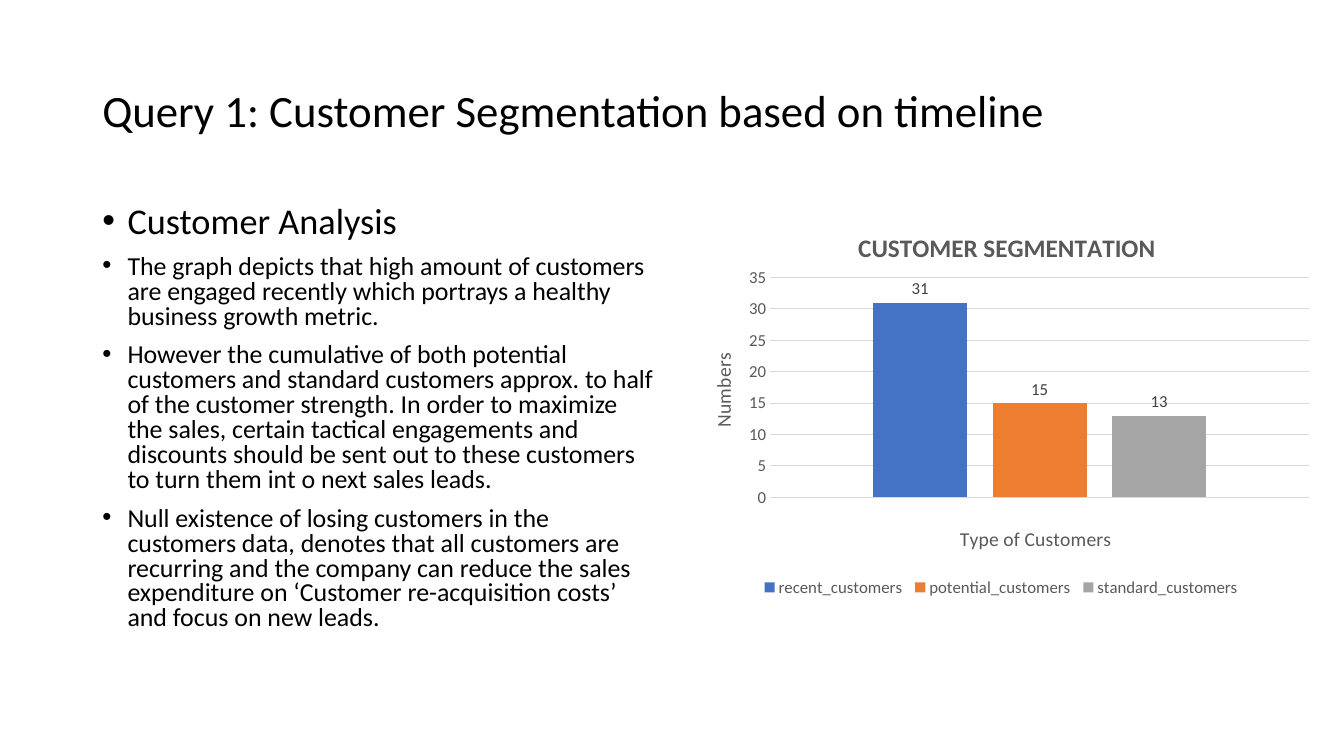
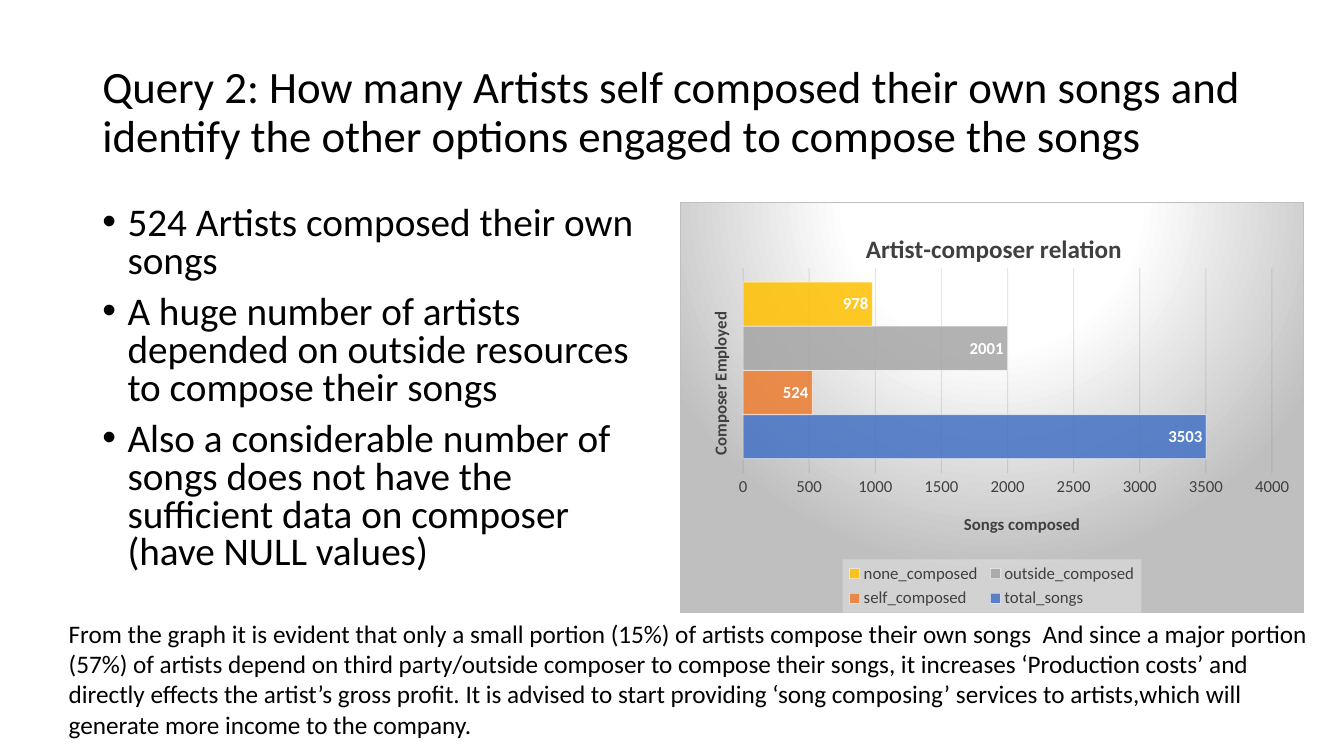
import pptx
import pptx.chart.data
import pptx.dml.color
import pptx.enum.chart
import pptx.enum.text
import pptx.oxml
import pptx.oxml.ns
import pptx.util

FONT = "Calibri"
BLACK, WHITE, SILVER = "000000", "FFFFFF", "BFBFBF"
BLUE, ORANGE, GREY, GOLD = "4472C4", "ED7D31", "A5A5A5", "FFC000"
CELL = pptx.util.Inches(1 / 12)
COLUMNS, ROWS = 160, 90
LEFT, TOP, CHART_LEFT = 11, 24, 81
TITLE_AREA = (LEFT, 4.8, 138, 17.4)

qn = pptx.oxml.ns.qn
declared = pptx.oxml.ns.nsdecls("a", "c")
colour = pptx.dml.color.RGBColor.from_string
positions = pptx.enum.chart.XL_LABEL_POSITION
kinds = pptx.enum.chart.XL_CHART_TYPE


def write(page, area, entries, spacing=1.0, middle=False, bullets=False):
    box = page.shapes.add_textbox(*[int(CELL * length) for length in area])
    frame = box.text_frame
    frame.word_wrap = True
    if middle:
        frame.vertical_anchor = pptx.enum.text.MSO_ANCHOR.MIDDLE
    for index, (text, size) in enumerate(entries):
        para = frame.add_paragraph() if index else frame.paragraphs[0]
        para.line_spacing = spacing
        if bullets:
            para.space_before = pptx.util.Pt(10)
            properties = para._p.get_or_add_pPr()
            properties.set("marL", str(3 * CELL))
            properties.set("indent", str(-3 * CELL))
            properties.append(pptx.oxml.parse_xml(f'<a:buFont {declared} typeface="Arial"/>'))
            properties.append(pptx.oxml.parse_xml(f'<a:buChar {declared} char="•"/>'))
        span = para.add_run()
        span.text = text
        span.font.name = FONT
        span.font.size = pptx.util.Pt(size)
        span.font.color.rgb = colour(BLACK)


def place(part, shares, inner=False):
    for old in part.findall(qn("c:layout")):
        part.remove(old)
    target = '<c:layoutTarget val="inner"/>' if inner else ""
    modes = '<c:xMode val="edge"/><c:yMode val="edge"/>'
    lengths = "".join(f'<c:{name} val="{share}"/>' for name, share in zip("xywh", shares))
    layout = pptx.oxml.parse_xml(
        f"<c:layout {declared}><c:manualLayout>{target}{modes}{lengths}</c:manualLayout></c:layout>"
    )
    overlay = part.find(qn("c:overlay"))
    if overlay is None:
        part.insert(0, layout)
    else:
        overlay.addprevious(layout)


slides = [
    {
        "title": "Query 1: Customer Segmentation based on timeline",
        "body_height": 57,
        "points": [
            ("Customer Analysis", 25.9),
            ("The graph depicts that high amount of customers are engaged recently which portrays a healthy business growth metric.", 18.5),
            ("However the cumulative of both potential customers and standard customers approx. to half of the customer strength. In order to maximize the sales, certain tactical engagements and discounts should be sent out to these customers to turn them int o next sales leads.", 18.5),
            ("Null existence of losing customers in the customers data, denotes that all customers are recurring and the company can reduce the sales expenditure on ‘Customer re-acquisition costs’ and focus on new leads.", 18.5),
        ],
        "kind": kinds.COLUMN_CLUSTERED,
        "chart_size": (76.4, 47.6),
        "series": [
            ("recent_customers", 31, BLUE),
            ("potential_customers", 15, ORANGE),
            ("standard_customers", 13, GREY),
        ],
        "heading": ("CUSTOMER SEGMENTATION", (0.27, 0.06)),
        "category_title": ("Type of Customers", (0.43, 0.8)),
        "value_title": ("Numbers", (0.04, 0.37)),
        "axis_title_size": 14,
        "plot": (0.14, 0.19, 0.84, 0.55),
        "legend": (0.12, 0.93, 0.76, 0.07),
        "ink": "595959",
        "label_ink": "404040",
        "label_position": positions.OUTSIDE_END,
        "grid": "D9D9D9",
        "gap": 219,
        "overlap": -27,
        "shaded": False,
    },
    {
        "title": "Query 2: How many Artists self composed their own songs and identify the other options engaged to compose the songs",
        "body_height": 49,
        "points": [
            ("524 Artists composed their own songs", 28),
            ("A huge number of artists depended on outside resources to compose their songs", 28),
            ("Also a considerable number of songs does not have the sufficient data on composer (have NULL values)", 28),
        ],
        "kind": kinds.BAR_CLUSTERED,
        "chart_size": (74.2, 49),
        "series": [
            ("total_songs", 3503, BLUE),
            ("self_composed", 524, ORANGE),
            ("outside_composed", 2001, GREY),
            ("none_composed", 978, GOLD),
        ],
        "heading": ("Artist-composer relation", (0.29, 0.06)),
        "category_title": ("Composer Employed", (0.04, 0.26)),
        "value_title": ("Songs composed", (0.45, 0.75)),
        "axis_title_size": 12,
        "plot": (0.1, 0.16, 0.85, 0.5),
        "legend": (0.26, 0.87, 0.48, 0.13),
        "ink": "404040",
        "label_ink": WHITE,
        "label_position": positions.INSIDE_END,
        "grid": "0D0D0D",
        "gap": 65,
        "overlap": 0,
        "shaded": True,
    },
]

deck = pptx.Presentation()
deck.slide_width = CELL * COLUMNS
deck.slide_height = CELL * ROWS

for content in slides:
    page = deck.slides.add_slide(deck.slide_layouts[6])
    shaded = content["shaded"]
    write(page, TITLE_AREA, [(content["title"], 32)], spacing=0.9, middle=True)
    write(page, (LEFT, TOP, 68, content["body_height"]), content["points"], spacing=0.8, bullets=True)

    data = pptx.chart.data.CategoryChartData()
    data.categories = ["1"]
    for name, value, fill in content["series"]:
        data.add_series(name, [value])
    area = (CHART_LEFT, TOP, *content["chart_size"])
    chart = page.shapes.add_chart(content["kind"], *[int(CELL * length) for length in area], data).chart
    chart.font.name = FONT
    chart.font.size = pptx.util.Pt(10)
    plot = chart.plots[0]
    plot.vary_by_categories = False
    plot.gap_width = content["gap"]
    plot.overlap = content["overlap"]
    place(chart.element.find(".//" + qn("c:plotArea")), content["plot"], inner=True)

    for series, (name, value, fill) in zip(plot.series, content["series"]):
        series.format.fill.solid()
        series.format.fill.fore_color.rgb = colour(fill)
        if shaded:
            series.format.line.color.rgb = colour(WHITE)
            series.format.line.width = pptx.util.Pt(0.75)
            for paint, opacity in zip(series._element.spPr.iter(qn("a:srgbClr")), (85000, 50000)):
                paint.append(pptx.oxml.parse_xml(f'<a:alpha {declared} val="{opacity}"/>'))
        labels = series.data_labels
        labels.show_value = True
        labels.position = content["label_position"]
        labels.font.name = FONT
        labels.font.size = pptx.util.Pt(12)
        labels.font.bold = shaded
        labels.font.color.rgb = colour(content["label_ink"])

    values = chart.value_axis
    values.major_tick_mark = pptx.enum.chart.XL_TICK_MARK.NONE
    values.format.line.fill.background()
    values.tick_labels.font.name = FONT
    values.tick_labels.font.size = pptx.util.Pt(12)
    values.tick_labels.font.color.rgb = colour(content["ink"])
    grid = values.major_gridlines.format.line
    grid.color.rgb = colour(content["grid"])
    grid.width = pptx.util.Pt(0.75)
    if shaded:
        paint = values.major_gridlines._xAx.find(qn("c:majorGridlines")).find(".//" + qn("a:srgbClr"))
        paint.append(pptx.oxml.parse_xml(f'<a:alpha {declared} val="10000"/>'))
    chart.category_axis.visible = False

    axis_size = content["axis_title_size"]
    for owner, (text, spot), size, bold in (
        (chart, content["heading"], 18, True),
        (chart.category_axis, content["category_title"], axis_size, shaded),
        (values, content["value_title"], axis_size, shaded),
    ):
        owner.has_title = True
        title = owner.chart_title if owner is chart else owner.axis_title
        span = title.text_frame.paragraphs[0].add_run()
        span.text = text
        span.font.name = FONT
        span.font.size = pptx.util.Pt(size)
        span.font.bold = bold
        span.font.color.rgb = colour(content["ink"])
        upright = (owner is values) != shaded and owner is not chart
        if upright:
            title.text_frame._txBody.find(qn("a:bodyPr")).set("rot", "-5400000")
            title.text_frame._txBody.find(qn("a:bodyPr")).set("vert", "horz")
        place(title._element, spot)

    chart.has_legend = True
    legend = chart.legend
    legend.position = pptx.enum.chart.XL_LEGEND_POSITION.BOTTOM
    legend.include_in_layout = False
    legend.font.name = FONT
    legend.font.size = pptx.util.Pt(12)
    legend.font.color.rgb = colour(content["ink"])
    place(legend._element, content["legend"])

    if shaded:
        legend._element.find(qn("c:overlay")).addnext(pptx.oxml.parse_xml(
            f'<c:spPr {declared}><a:solidFill><a:srgbClr val="F2F2F2"><a:alpha val="39000"/>'
            "</a:srgbClr></a:solidFill></c:spPr>"
        ))
        stops = "".join(
            f'<a:gs pos="{stop}"><a:srgbClr val="{tone}"/></a:gs>'
            for stop, tone in ((0, WHITE), (39000, WHITE), (100000, SILVER))
        )
        chart.element.find(qn("c:chart")).addnext(pptx.oxml.parse_xml(
            f"<c:spPr {declared}><a:gradFill><a:gsLst>{stops}</a:gsLst>"
            '<a:path path="circle"><a:fillToRect l="50000" t="-80000" r="50000" b="180000"/></a:path>'
            f'</a:gradFill><a:ln w="9525"><a:solidFill><a:srgbClr val="{SILVER}"/></a:solidFill></a:ln></c:spPr>'
        ))

summary = "From the graph it is evident that only a small portion (15%) of artists compose their own songs  And since a major portion (57%) of artists depend on third party/outside composer to compose their songs, it increases ‘Production costs’ and directly effects the artist’s gross profit. It is advised to start providing ‘song composing’ services to artists,which will generate more income to the company."
write(page, (7, 73, 151.2, 15.7), [(summary, 18)])

deck.save("out.pptx")
